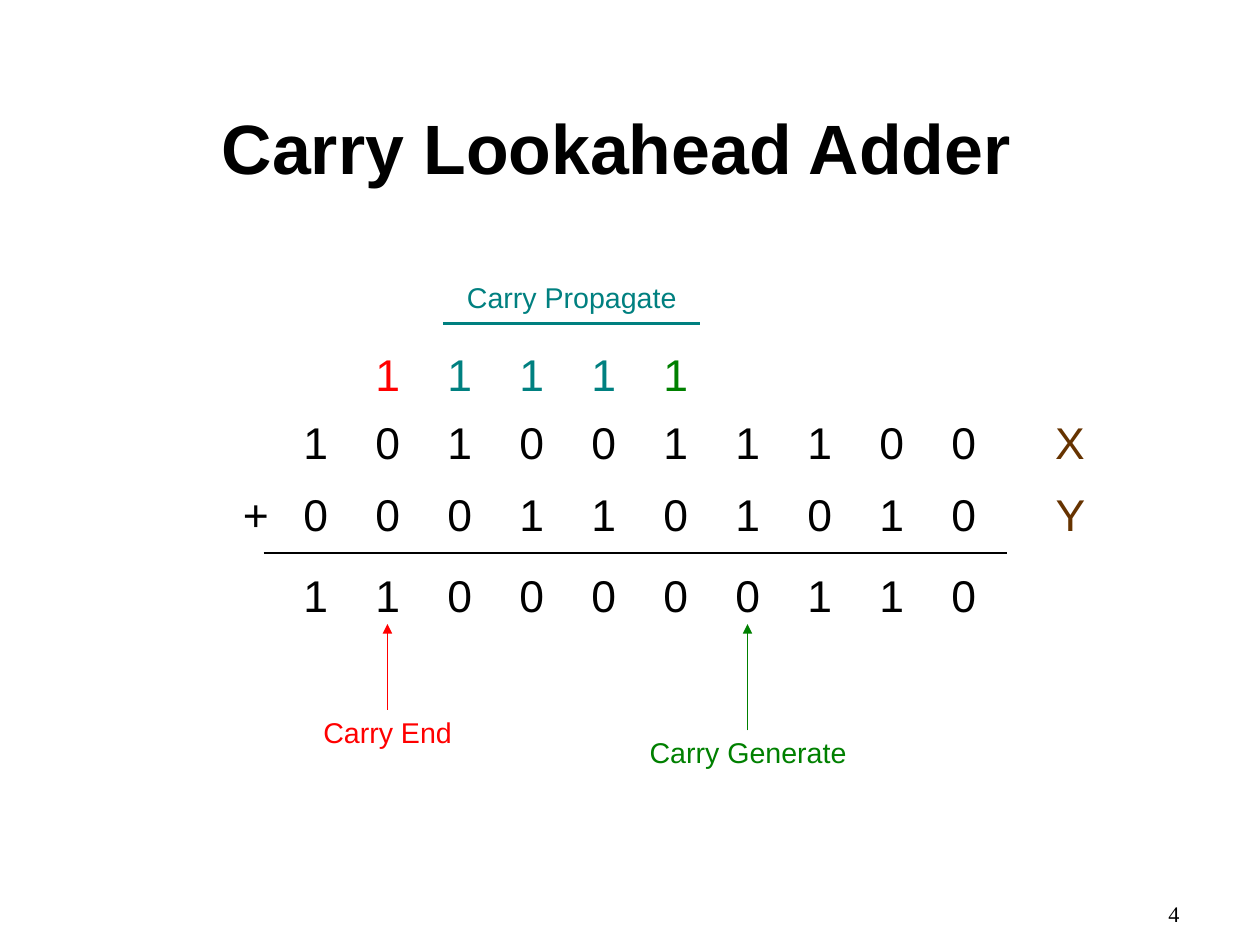
"""Build the carry lookahead adder slide with its worked binary addition."""
from dataclasses import dataclass

from lxml import etree
from pptx import Presentation
from pptx.dml.color import RGBColor
from pptx.enum.shapes import MSO_CONNECTOR
from pptx.enum.text import MSO_ANCHOR, PP_ALIGN
from pptx.oxml.ns import qn
from pptx.util import Cm, Inches, Pt

STRAIGHT = MSO_CONNECTOR.STRAIGHT
MIDDLE = MSO_ANCHOR.MIDDLE
CENTER = PP_ALIGN.CENTER
RIGHT = PP_ALIGN.RIGHT
TOP_SIDE, BOTTOM_SIDE = 0, 2
TITLE_ONLY = 5

COLORS = {
    "text": "000000",
    "generate": "008000",
    "propagate": "008080",
    "end": "FF0000",
    "operand": "663300",
}

FIRST_COLUMN = 2.76
COLUMN_PITCH = 0.63
CELL_WIDTH, CELL_HEIGHT = 0.41, 0.53
LABEL_HEIGHT = 0.38
DIGIT_INSETS = (0.1, 0.08, 0.1, 0.05)
NOTE_INSETS = (0.1, 0.07, 0.04, 0.05)
ROW_TOPS = {"carry": 3.0, "x": 3.59, "y": 4.22, "sum": 4.93}
NUMBERS = {"x": "1010011100", "y": "0001101010", "sum": "1100000110"}
END_COLUMN, GENERATE_COLUMN = 1, 6


@dataclass(frozen=True)
class Label:
    """Text centred on a column of the addition grid."""
    text: str
    column: float
    top: float
    width: float = CELL_WIDTH
    height: float = CELL_HEIGHT
    size: int = 28
    color: str = "text"
    insets: tuple = DIGIT_INSETS


@dataclass(frozen=True)
class Rule:
    """Horizontal line between two columns of the grid."""
    first: float
    last: float
    top: float
    color: str


def caption(text: str, column: float, top: float, width: float, color: str) -> Label:
    return Label(text, column, top, width, LABEL_HEIGHT, 18, color, NOTE_INSETS)


CARRIES = ("end", "propagate", "propagate", "propagate", "generate")
SIGNS = (
    Label("+", -0.83, ROW_TOPS["y"], 0.42),
    Label("X", 10.48, ROW_TOPS["x"], 0.46, color="operand"),
    Label("Y", 10.49, ROW_TOPS["y"], 0.46, color="operand"),
    caption("Carry Propagate", 3.55, 2.41, 2.02, "propagate"),
)
CARRY_NOTES = (
    caption("Carry End", END_COLUMN, 6.21, 1.32, "end"),
    caption("Carry Generate", GENERATE_COLUMN, 6.39, 1.91, "generate"),
)
RULES = (Rule(-0.72, 9.6, 4.84, "text"), Rule(1.77, 5.34, 2.83, "propagate"))


def column_center(column: float) -> float:
    return FIRST_COLUMN + COLUMN_PITCH * column


def format_text(shape, text: str, size: int, color: str, insets: tuple,
                font: str = "Arial", spacing: float = 0.93):
    frame = shape.text_frame
    frame.text = text
    (frame.margin_left, frame.margin_top,
     frame.margin_right, frame.margin_bottom) = map(Inches, insets)
    paragraph = frame.paragraphs[0]
    paragraph.line_spacing = spacing
    style = paragraph.runs[0].font
    style.name, style.size = font, Pt(size)
    style.color.rgb = RGBColor.from_string(COLORS[color])
    return paragraph


def draw_label(slide, label: Label):
    box = slide.shapes.add_textbox(
        Inches(column_center(label.column) - label.width / 2), Inches(label.top),
        Inches(label.width), Inches(label.height))
    format_text(box, label.text, label.size, label.color, label.insets)
    box.text_frame.word_wrap = False
    return box


def style_line(line, color: str, width: float) -> None:
    line.line.color.rgb = RGBColor.from_string(COLORS[color])
    line.line.width = Pt(width)
    etree.SubElement(line._element.spPr, qn("a:effectLst"))


def draw_rule(slide, rule: Rule) -> None:
    line = slide.shapes.add_connector(
        STRAIGHT, Inches(column_center(rule.first)), Inches(rule.top),
        Inches(column_center(rule.last)), Inches(rule.top))
    style_line(line, rule.color, 1.45)


def draw_arrow(slide, note, digit, color: str) -> None:
    arrow = slide.shapes.add_connector(STRAIGHT, 0, 0, 0, 0)
    arrow.begin_connect(note, TOP_SIDE)
    arrow.end_connect(digit, BOTTOM_SIDE)
    style_line(arrow, color, 0.75)
    etree.SubElement(arrow.line._get_or_add_ln(), qn("a:tailEnd"), type="triangle")


def draw_heading(slide) -> None:
    heading = slide.shapes.title
    heading.left, heading.top = Inches(0.55), Inches(0.61)
    heading.width, heading.height = Inches(9.69), Inches(1.38)
    paragraph = format_text(heading, "Carry Lookahead Adder", 44, "text", (0, 0.04, 0, 0))
    paragraph.alignment = CENTER
    paragraph.runs[0].font.bold = True
    heading.text_frame.vertical_anchor = MIDDLE
    heading.text_frame.word_wrap = True


def draw_page_number(slide) -> None:
    page = slide.shapes.add_textbox(Inches(7.75), Inches(7.89), Inches(2.57), Inches(0.57))
    paragraph = format_text(page, "4", 14, "text", (0, 0, 0, 0), "Times New Roman", 0.95)
    paragraph.alignment = RIGHT
    page.text_frame.word_wrap = True


def main() -> None:
    deck = Presentation()
    deck.slide_width, deck.slide_height = Cm(28), Cm(21)
    slide = deck.slides.add_slide(deck.slide_layouts[TITLE_ONLY])
    draw_heading(slide)
    draw_page_number(slide)

    digits = {
        (row, column): draw_label(slide, Label(bit, column, ROW_TOPS[row]))
        for row, bits in NUMBERS.items()
        for column, bit in enumerate(bits)
    }
    for column, role in enumerate(CARRIES, start=END_COLUMN):
        draw_label(slide, Label("1", column, ROW_TOPS["carry"], color=role))
    for sign in SIGNS:
        draw_label(slide, sign)
    for rule in RULES:
        draw_rule(slide, rule)
    for note in CARRY_NOTES:
        draw_arrow(slide, draw_label(slide, note), digits["sum", note.column], note.color)

    deck.save("out.pptx")


if __name__ == "__main__":
    main()
